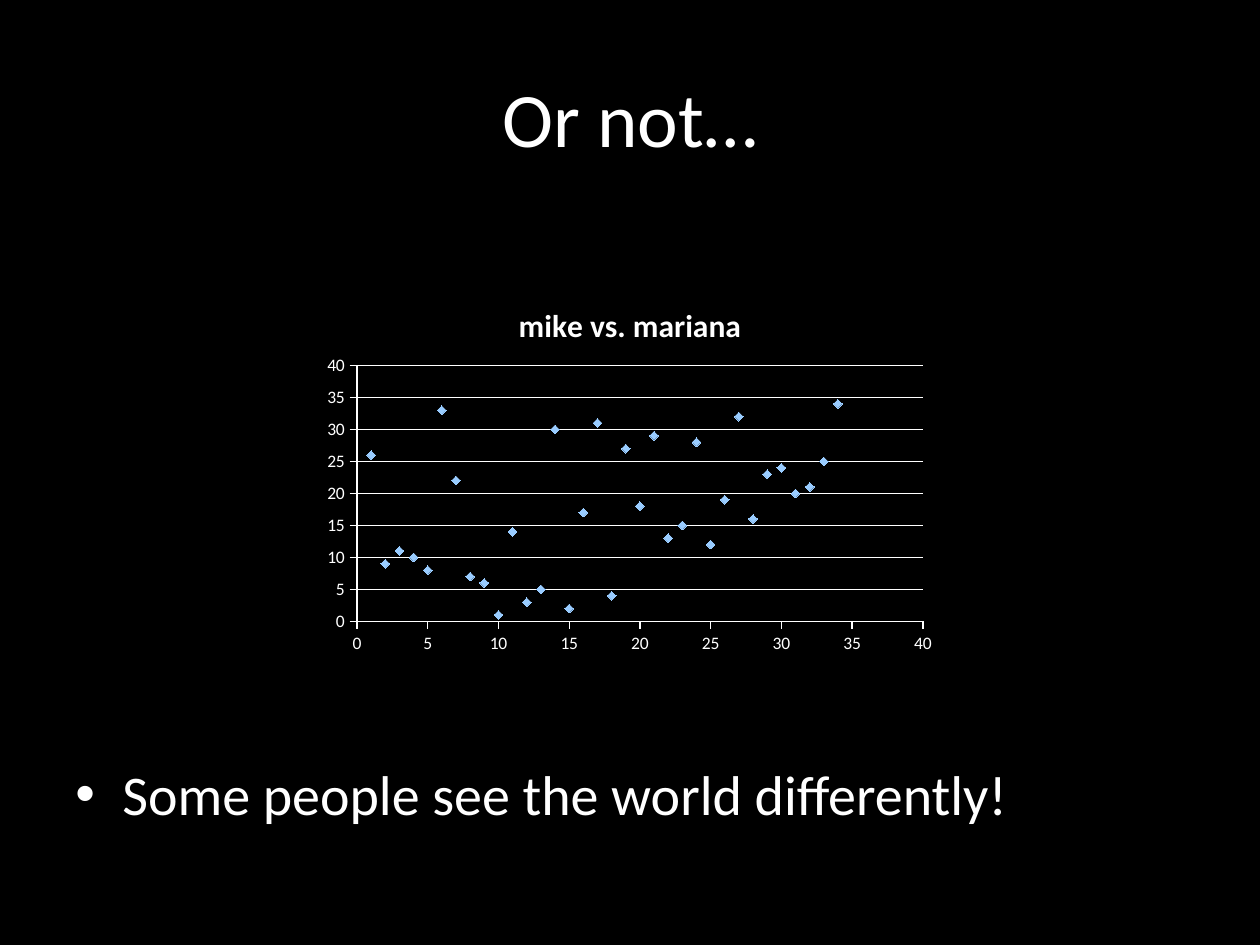
from pptx import Presentation
from pptx.chart.data import XyChartData
from pptx.dml.color import RGBColor
from pptx.enum.chart import XL_CHART_TYPE, XL_MARKER_STYLE, XL_TICK_MARK
from pptx.enum.text import MSO_ANCHOR, PP_ALIGN
from pptx.oxml import parse_xml
from pptx.oxml.ns import nsdecls, qn
from pptx.util import Pt
from lxml import etree

SCATTER = XL_CHART_TYPE.XY_SCATTER
DIAMOND = XL_MARKER_STYLE.DIAMOND
OUT, NONE = XL_TICK_MARK.OUTSIDE, XL_TICK_MARK.NONE
MIDDLE, TOP = MSO_ANCHOR.MIDDLE, MSO_ANCHOR.TOP
CENTER, LEFT = PP_ALIGN.CENTER, PP_ALIGN.LEFT
PX = 914400 / 126
COLORS = {"back": "000000", "text": "FFFFFF", "mark": "99CCFF"}
FACE = "Calibri"


def px(*sizes):
    return [round(size * PX) for size in sizes]


def style(font, size, bold=False):
    traits = {"name": FACE, "size": Pt(size), "bold": bold}
    for key, value in traits.items():
        setattr(font, key, value)
    font.color.rgb = RGBColor.from_string(COLORS["text"])


deck = Presentation()
deck.slide_width, deck.slide_height = px(1260, 945)
slide = deck.slides.add_slide(deck.slide_layouts[6])
slide.background.fill.solid()
slide.background.fill.fore_color.rgb = RGBColor.from_string(COLORS["back"])

texts = [
    ("Or not…", (63, 38, 1134, 157), 44, CENTER, MIDDLE, False),
    ("Some people see the world differently!", (63, 753, 1134, 91), 32, LEFT, TOP, True),
]
for words, place, size, align, anchor, listed in texts:
    frame = slide.shapes.add_textbox(*px(*place)).text_frame
    frame.word_wrap = True
    frame.vertical_anchor = anchor
    para = frame.paragraphs[0]
    para.alignment = align
    run = para.add_run()
    run.text = words
    style(run.font, size)
    if listed:
        para.space_before = Pt(6.4)
        props = para._p.get_or_add_pPr()
        indent = px(47)[0]
        props.set("marL", str(indent))
        props.set("indent", str(-indent))
        etree.SubElement(props, qn("a:buFont"), typeface="Arial")
        etree.SubElement(props, qn("a:buChar"), char="•")

xs = [18, 19, 21, 2, 10, 9, 3, 34, 15, 29, 27, 7, 13, 28, 31, 4, 11,
      25, 30, 16, 6, 32, 17, 26, 24, 23, 20, 12, 5, 14, 22, 33, 8, 1]
ys = [4, 27, 29, 9, 1, 6, 11, 34, 2, 23, 32, 22, 5, 16, 20, 10, 14,
      12, 24, 17, 33, 21, 31, 19, 28, 15, 18, 3, 8, 30, 13, 25, 7, 26]
data = XyChartData()
points = data.add_series("Series 1")
for x, y in zip(xs, ys):
    points.add_data_point(x, y)

chart = slide.shapes.add_chart(SCATTER, *px(315, 284, 630, 378), data).chart
style(chart.font, 10)
chart.has_legend = False
chart.has_title = True
title = chart.chart_title.text_frame
title.text = "mike vs. mariana"
style(title.paragraphs[0].runs[0].font, 18, True)
chart.chart_title.include_in_layout = False
chart.plots[0].vary_by_categories = False

series = chart.plots[0].series[0]
series.format.line.fill.background()
marker = series.marker
marker.style, marker.size = DIAMOND, 5
mark = RGBColor.from_string(COLORS["mark"])
marker.format.fill.solid()
marker.format.fill.fore_color.rgb = mark
marker.format.line.color.rgb = mark

traits = {"minimum_scale": 0, "maximum_scale": 40, "major_unit": 5,
          "major_tick_mark": OUT, "minor_tick_mark": NONE}
white = RGBColor.from_string(COLORS["text"])
for axis, grid in ((chart.category_axis, False), (chart.value_axis, True)):
    for key, value in traits.items():
        setattr(axis, key, value)
    axis.has_major_gridlines = grid
    lines = [axis.format.line]
    if grid:
        lines.append(axis.major_gridlines.format.line)
    for line in lines:
        line.color.rgb = white
        line.width = Pt(0.75)
    style(axis.tick_labels.font, 10)

area = chart.element.find(".//" + qn("c:plotArea"))
for old in area.findall(qn("c:layout")):
    area.remove(old)
layout = parse_xml(f"<c:layout {nsdecls('c')}><c:manualLayout/></c:layout>")
spots = {"layoutTarget": "inner", "xMode": "edge", "yMode": "edge",
         "x": 42 / 630, "y": 81.5 / 378, "w": 566 / 630, "h": 256 / 378}
for key, value in spots.items():
    etree.SubElement(layout[0], qn("c:" + key), val=str(value))
area.insert(0, layout)

deck.save("out.pptx")
